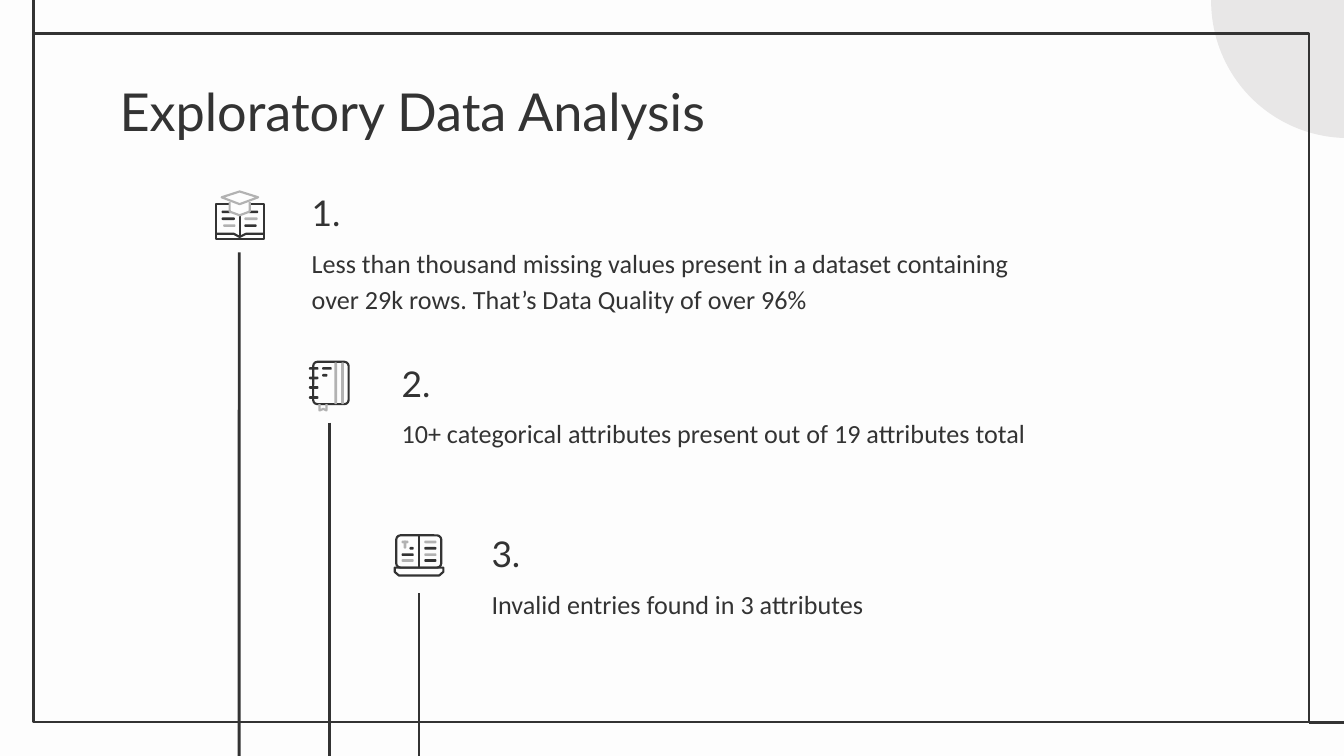
from lxml.etree import SubElement
from pptx import Presentation
from pptx.dml.color import RGBColor
from pptx.enum.shapes import MSO_CONNECTOR, MSO_SHAPE
from pptx.enum.text import MSO_ANCHOR
from pptx.oxml.ns import qn
from pptx.util import Cm, Pt

COLORS = {"ink": "333333", "grey": "B2B2B2", "paper": "FDFDFD", "circle": "E8E7E7"}
WIDTH, HEIGHT = 25.4, 14.29
TILE = 1.42
STEP_X, STEP_Y = 1.7, 3.22

# Icon parts are in cm from the corner of their tile.
# outlines: (color, closed, points); frames: (x, y, w, h); bars: (color, x, y, w[, h])
BOOK = {
    "outlines": [
        ("ink", False, [(.53, .51), (.28, .51), (.28, 1.17), (1.18, 1.17), (1.18, .51), (.91, .51)]),
        ("ink", False, [(.28, 1.07), (.61, 1.07), (.72, 1.13), (.84, 1.07), (1.18, 1.07)]),
        ("ink", False, [(.72, .74), (.72, 1.13)]),
        ("grey", True, [(.72, .27), (1.07, .38), (.72, .51), (.38, .38)]),
        ("grey", False, [(.53, .47), (.53, .65), (.72, .72), (.91, .65), (.91, .47)]),
    ],
    "frames": [],
    "bars": [("ink", .38, .63, .18), ("ink", .89, .63, .18), ("ink", .38, .76, .25),
             ("grey", .81, .76, .25), ("grey", .41, .89, .23), ("ink", .81, .89, .23)],
}
NOTEBOOK = {
    "outlines": [("grey", False, [(.53, 1.07), (.53, 1.19), (.6, 1.16), (.66, 1.19), (.66, 1.07)])],
    "frames": [(.41, .27, .67, .8)],
    "bars": [("grey", x, .28, .05, .79) for x in (.81, .94)]
    + [("ink", .33, y, .18) for y in (.37, .55, .73, .92)]
    + [("ink", .58, .37, .18), ("ink", .58, .5, .1)],
}
LAPTOP = {
    "outlines": [
        ("ink", True, [(.25, .94), (1.17, .94), (1.17, 1.02), (1.09, 1.09), (.33, 1.09), (.25, 1.02)]),
        ("ink", False, [(.71, .33), (.71, .94)]),
    ],
    "frames": [(.28, .33, .85, .61)],
    "bars": [(color, .81, y, .23) for color, y in
             (("grey", .43), ("ink", .55), ("grey", .67), ("ink", .78))]
    + [("grey", .38, .43, .13), ("grey", .42, .43, .05, .15), ("ink", .53, .55, .08),
       ("ink", .38, .67, .23), ("grey", .38, .78, .23)],
}
STEPS = [
    (BOOK, 14.1, "Less than thousand missing values present in a dataset containing "
                 "over 29k rows. That’s Data Quality of over 96%"),
    (NOTEBOOK, 13.94, "10+ categorical attributes present out of 19 attributes total"),
    (LAPTOP, 13.54, "Invalid entries found in 3 attributes"),
]


def rgb(name):
    return RGBColor.from_string(COLORS[name])


class Page:
    """Holds the slide and the shared style of its elements."""

    stroke = 1.5
    icon_stroke = 1.15

    def __init__(self, s):
        self.s = s
        s.background.fill.solid()
        s.background.fill.fore_color.rgb = rgb("paper")

    def paint(self, sp, fill=None, line=None, width=stroke):
        sp.shadow.inherit = False
        if fill:
            sp.fill.solid()
            sp.fill.fore_color.rgb = rgb(fill)
        else:
            sp.fill.background()
        if line:
            sp.line.color.rgb = rgb(line)
            sp.line.width = Pt(width)
        else:
            sp.line.fill.background()
        return sp

    def shape(self, kind, x, y, w, h, radius=None, **style):
        sp = self.s.shapes.add_shape(kind, Cm(x), Cm(y), Cm(w), Cm(h))
        if radius is not None:
            sp.adjustments[0] = radius / min(w, h)
        return self.paint(sp, **style)

    def outline(self, points, closed, color):
        points = [(Cm(x), Cm(y)) for x, y in points]
        builder = self.s.shapes.build_freeform(*points[0])
        builder.add_line_segments(points[1:], close=closed)
        return self.paint(builder.convert_to_shape(), line=color, width=self.icon_stroke)

    def line(self, x1, y1, x2, y2, start=None):
        """Draw a rule; start is a shape whose bottom side it leaves from."""
        cx = self.s.shapes.add_connector(MSO_CONNECTOR.STRAIGHT, Cm(x1), Cm(y1), Cm(x2), Cm(y2))
        cx.line.color.rgb = rgb("ink")
        cx.line.width = Pt(self.stroke)
        SubElement(cx._element.spPr, qn("a:effectLst"))
        if start is not None:
            cx.begin_connect(start, 2)

    def text(self, text, x, y, w, h, size=14, font="Calibri", spacing=1.15, anchor=MSO_ANCHOR.TOP):
        tf = self.s.shapes.add_textbox(Cm(x), Cm(y), Cm(w), Cm(h)).text_frame
        tf.word_wrap = True
        tf.vertical_anchor = anchor
        tf.margin_left = tf.margin_right = tf.margin_top = tf.margin_bottom = Cm(.25)
        p = tf.paragraphs[0]
        p.line_spacing = spacing
        r = p.add_run()
        r.text = text
        r.font.size = Pt(size)
        r.font.name = font
        r.font.color.rgb = rgb("ink")

    def icon(self, parts, x, y):
        for bx, by, w, h in parts["frames"]:
            self.shape(MSO_SHAPE.ROUNDED_RECTANGLE, x + bx, y + by, w, h, radius=.08,
                       line="ink", width=self.icon_stroke)
        for color, bx, by, w, *h in parts["bars"]:
            self.shape(MSO_SHAPE.ROUNDED_RECTANGLE, x + bx, y + by, w, h[0] if h else .05,
                       radius=.02, fill=color)
        for color, closed, points in parts["outlines"]:
            self.outline([(x + px, y + py) for px, py in points], closed, color)


def main():
    prs = Presentation()
    prs.slide_width, prs.slide_height = Cm(WIDTH), Cm(HEIGHT)
    page = Page(prs.slides.add_slide(prs.slide_layouts[6]))

    page.shape(MSO_SHAPE.OVAL, 22.89, -2.57, 5.18, 5.18, fill="circle")
    page.shape(MSO_SHAPE.RECTANGLE, .64, .64, 24.1, 13.01, line="ink")
    page.line(.64, .64, .64, 0)
    page.line(24.74, 13.65, WIDTH, 13.65)
    page.text("Exploratory Data Analysis", 2.01, 1.24, 21.41, 1.6, size=28, font="Lato", spacing=1)

    for i, (icon, width, body) in enumerate(STEPS):
        dx, dy = i * STEP_X, i * STEP_Y
        x, y = 3.81 + dx, 3.35 + dy
        tile = page.shape(MSO_SHAPE.RECTANGLE, x, y, TILE, TILE, fill="paper")
        page.text(f"{i + 1}.", 5.64 + dx, 3.48 + dy, 13.54, 1.19,
                  size=19, font="Lato", anchor=MSO_ANCHOR.BOTTOM)
        page.text(body, 5.64 + dx, 4.34 + dy, width, 1.47)
        page.icon(icon, x, y)
        center = x + TILE / 2
        page.line(center, y + TILE, center, HEIGHT, start=tile)

    prs.save("out.pptx")


if __name__ == "__main__":
    main()
